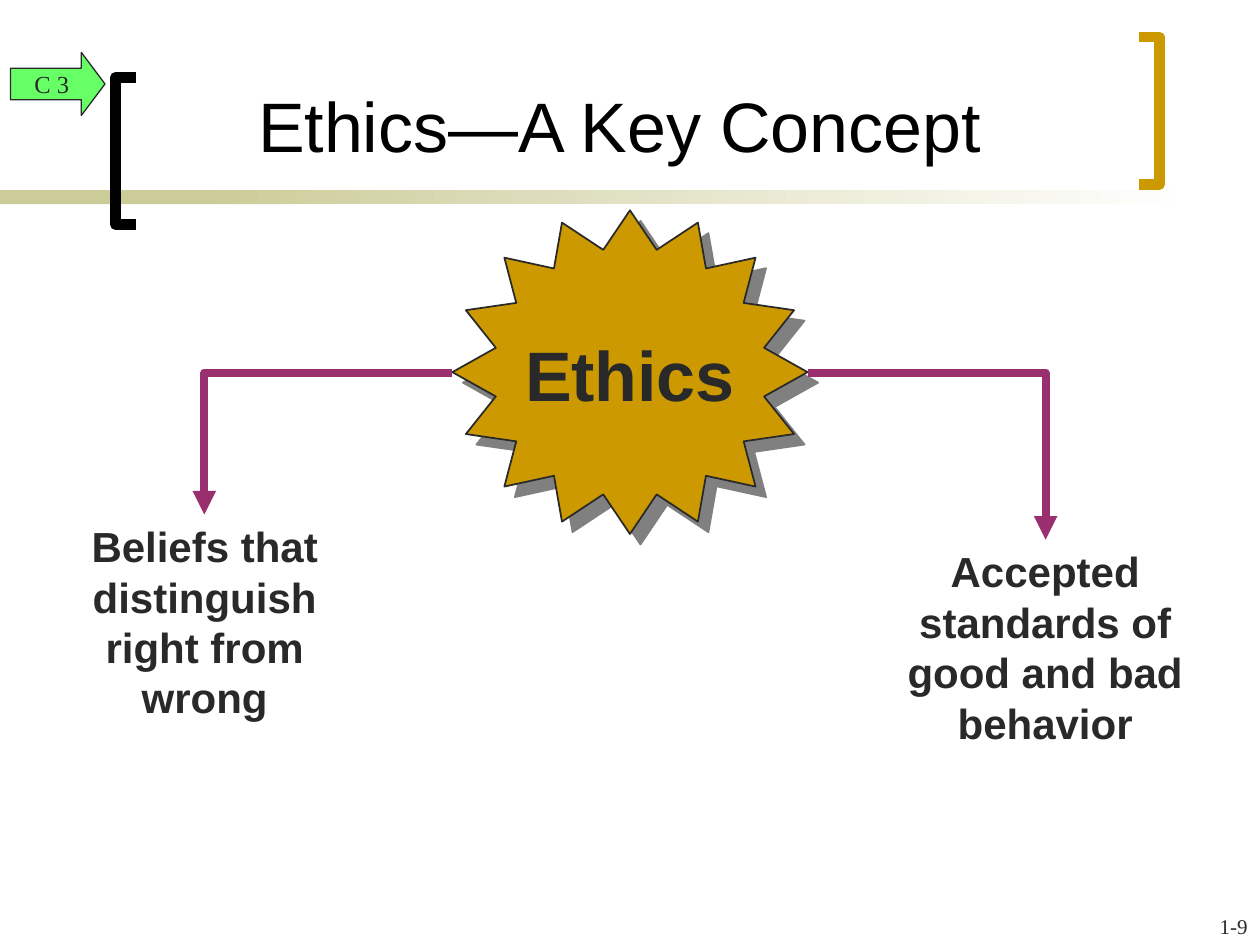
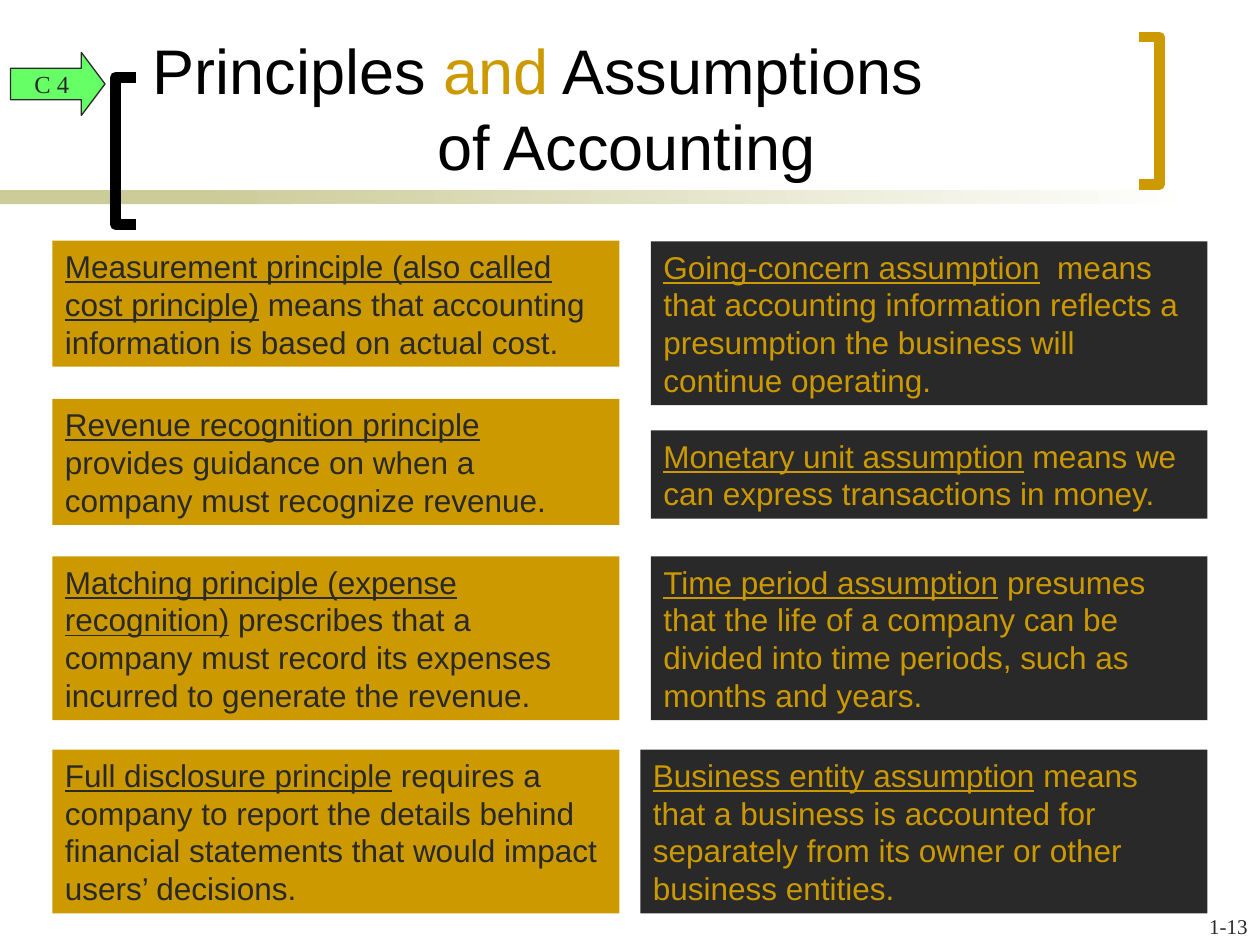
from lxml import etree
from pptx import Presentation
from pptx.dml.color import RGBColor
from pptx.enum import shapes, text
from pptx.oxml import ns
from pptx.util import Pt

# Shared palette
INK, BLACK, WHITE = "292929", "000000", "FFFFFF"
GOLD, SAND, GREEN, PLUM, GREY = "CC9900", "CCCC99", "66FF66", "9A2F6F", "808080"

LEFT, CENTER, RIGHT = text.PP_ALIGN.LEFT, text.PP_ALIGN.CENTER, text.PP_ALIGN.RIGHT
SHAPE = shapes.MSO_SHAPE


def color(value):
    return RGBColor.from_string(value)


def add_span(para, words, size=18, font="Arial", ink=INK, bold=False, underline=False):
    """Add one formatted run to a paragraph."""
    span = para.add_run()
    span.text = words
    span.font.name = font
    span.font.size = Pt(size)
    span.font.bold = bold
    span.font.underline = underline
    span.font.color.rgb = color(ink)


class Composer:
    """Holds the deck style and the page being drawn."""

    def __init__(self):
        self.deck = Presentation()
        self.deck.slide_width, self.deck.slide_height = Pt(720), Pt(540)
        self.page = None

    def new_page(self, tag, number):
        self.page = self.deck.slides.add_slide(self.deck.slide_layouts[5])
        # Band under the title, fading to white
        self.block(0, 108.7, 168, 8, SAND)
        fade = self.block(114, 108.7, 570, 8, SAND)
        fade.fill.gradient()
        fade.fill.gradient_angle = 0
        for stop, value, place in zip(fade.fill.gradient_stops, (SAND, WHITE), (0, 1)):
            stop.color.rgb, stop.position = color(value), place
        # Brackets around the title
        self.bracket(66, 77.8, 44.2, BLACK)
        self.bracket(662.5, 650.9, 21.2, GOLD)
        # Objective tag and page number
        arrow = self.block(6, 30, 54, 36, GREEN, SHAPE.RIGHT_ARROW, INK, 0.75)
        arrow.adjustments[0], arrow.adjustments[1] = 0.5, 0.375
        arrow.text_frame.word_wrap = False
        arrow.text_frame.vertical_anchor = text.MSO_ANCHOR.MIDDLE
        self.set_text(arrow, [(tag, {})], CENTER, size=14, font="Times New Roman")
        self.label(656, 518.4, 64, 21.6, number, RIGHT, size=12, font="Times New Roman")

    def set_text(self, box, spans, align=LEFT, **style):
        para = box.text_frame.paragraphs[0]
        para.alignment = align
        for words, extra in spans:
            add_span(para, words, **{**style, **extra})

    def title(self, top, height, lines, size):
        """Fill the title; each line is (alignment, left margin, spans)."""
        box = self.page.shapes.title
        box.left, box.top, box.width, box.height = Pt(72), Pt(top), Pt(564), Pt(height)
        frame = box.text_frame
        frame.auto_size = text.MSO_AUTO_SIZE.NONE
        frame.vertical_anchor = text.MSO_ANCHOR.BOTTOM
        for index, (align, margin, spans) in enumerate(lines):
            para = frame.add_paragraph() if index else frame.paragraphs[0]
            para.alignment = align
            if margin:
                para._p.get_or_add_pPr().set("marL", str(Pt(margin)))
            for words, ink in spans:
                add_span(para, words, size=size, ink=ink)

    def block(self, left, top, width, height, fill, kind=SHAPE.RECTANGLE, line=None, weight=1):
        shape = self.page.shapes.add_shape(kind, Pt(left), Pt(top), Pt(width), Pt(height))
        shape.shadow.inherit = False
        shape.fill.solid()
        shape.fill.fore_color.rgb = color(fill)
        if line:
            shape.line.color.rgb = color(line)
            shape.line.width = Pt(weight)
        else:
            shape.line.fill.background()
        return shape

    def bracket(self, spine, tip, top, ink):
        bottom = top + 84.2
        builder = self.page.shapes.build_freeform(Pt(tip), Pt(top))
        corners = [(spine, top), (spine, bottom), (tip, bottom)]
        builder.add_line_segments([(Pt(x), Pt(y)) for x, y in corners], close=False)
        shape = builder.convert_to_shape()
        shape.shadow.inherit = False
        shape.fill.background()
        shape.line.color.rgb = color(ink)
        shape.line.width = Pt(6)

    def label(self, left, top, width, height, words, align=CENTER, **style):
        box = self.page.shapes.add_textbox(Pt(left), Pt(top), Pt(width), Pt(height))
        box.text_frame.word_wrap = True
        self.set_text(box, [(words, {})], align, **style)

    def star(self, left, top, width, height):
        shape = self.block(left, top, width, height, GOLD, SHAPE.STAR_16_POINT, INK)
        shape.adjustments[0] = 0.385
        effects = shape._element.spPr.find(ns.qn("a:effectLst"))
        shadow = etree.SubElement(effects, ns.qn("a:outerShdw"), dist=str(Pt(8.5)),
                                  dir="2700000", algn="ctr", rotWithShape="0")
        etree.SubElement(shadow, ns.qn("a:srgbClr"), val=GREY)

    def elbow(self, x1, y1, x2, y2):
        """Draw an arrow that runs sideways, then down."""
        link = self.page.shapes.add_connector(
            shapes.MSO_CONNECTOR.ELBOW, Pt(x1), Pt(y1), Pt(x2), Pt(y2))
        link.line.color.rgb = color(PLUM)
        link.line.width = Pt(4.5)
        properties = link._element.spPr
        properties.find(ns.qn("a:prstGeom")).set("prst", "bentConnector2")
        etree.SubElement(properties.find(ns.qn("a:ln")), ns.qn("a:tailEnd"), type="triangle")
        etree.SubElement(properties, ns.qn("a:effectLst"))

    def card(self, left, top, width, lines, term, meaning, fill, ink):
        box = self.block(left, top, width, 7.2 + 21.6 * lines, fill)
        box.text_frame.word_wrap = True
        box.text_frame.vertical_anchor = text.MSO_ANCHOR.TOP
        self.set_text(box, [(term, {"underline": True}), (meaning, {})], ink=ink)


def ethics_page(composer):
    composer.new_page("C 3", "1-9")
    composer.title(-12.2, 110.9, [(CENTER, 0, [("Ethics—A Key Concept", BLACK)])], 40)
    # Star with its two meanings
    composer.star(258.5, 120.2, 203, 185)
    composer.label(290.5, 185.8, 139, 54.7, "Ethics", size=40, bold=True)
    composer.elbow(258.5, 213, 116.8, 294)
    composer.elbow(461.5, 213, 597.5, 308.4)
    composer.label(30, 294, 174, 122.4, "Beliefs that distinguish right from wrong",
                   size=24, bold=True)
    composer.label(504, 308.4, 186.5, 122.4, "Accepted standards of good and bad behavior",
                   size=24, bold=True)


def principles_page(composer):
    composer.new_page("C 4", "1-13")
    composer.title(12.2, 96, [
        (LEFT, 8, [("Principles ", BLACK), ("and", GOLD), (" Assumptions", BLACK)]),
        (CENTER, 0, [("of Accounting", BLACK)]),
    ], 36)
    # Cards: left, top, width, text lines, term, meaning
    principles = [
        (30, 137.6, 324, 3, "Measurement principle (also called cost principle)",
         " means that accounting information is based on actual cost."),
        (30, 228, 324, 3, "Revenue recognition principle",
         " provides guidance on when a company must recognize revenue."),
        (30, 318, 324, 4, "Matching principle (expense recognition)",
         " prescribes that a company must record its expenses incurred to generate the revenue."),
        (30, 428.4, 324, 4, "Full disclosure principle",
         " requires a company to report the details behind financial statements"
         " that would impact users’ decisions."),
    ]
    assumptions = [
        (372, 138, 318, 4, "Going-concern assumption",
         "  means that accounting information reflects a presumption"
         " the business will continue operating."),
        (372, 246, 318, 2, "Monetary unit assumption",
         " means we can express transactions in money."),
        (372, 318, 318, 4, "Time period assumption",
         " presumes that the life of a company can be divided into time periods,"
         " such as months and years."),
        (366, 428.4, 324, 4, "Business entity assumption",
         " means that a business is accounted for separately from its owner"
         " or other business entities."),
    ]
    for cards, fill, ink in ((principles, GOLD, INK), (assumptions, INK, GOLD)):
        for card in cards:
            composer.card(*card, fill, ink)


def main():
    composer = Composer()
    ethics_page(composer)
    principles_page(composer)
    composer.deck.save("out.pptx")


if __name__ == "__main__":
    main()
